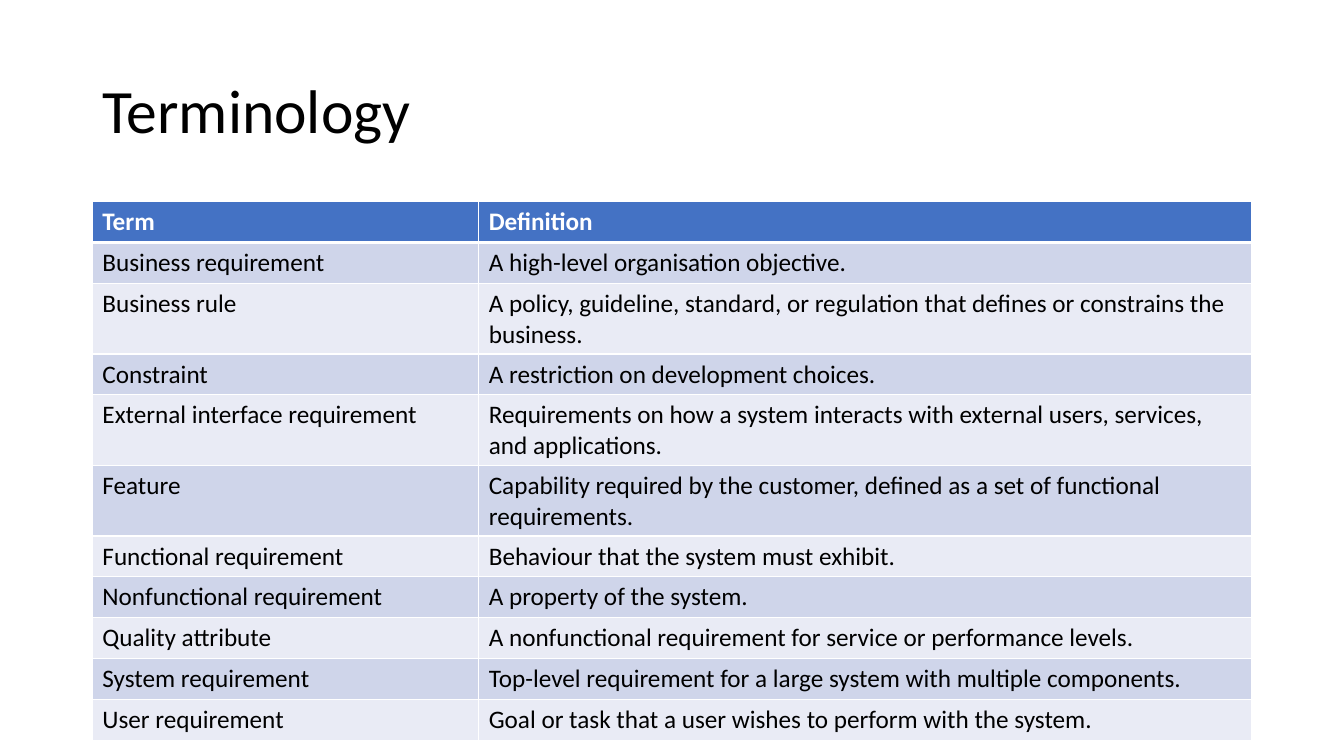
import pptx
import pptx.dml.color
import pptx.enum.text
import pptx.oxml
import pptx.oxml.ns
import pptx.util

Pt = pptx.util.Pt
COLORS = {"text": "000000", "white": "FFFFFF", "header": "4472C4",
          "odd": "CFD5EA", "even": "E9EBF5"}
TITLE = {"size": Pt(44), "name": "Calibri", "bold": False}
HEADER = {"size": Pt(18), "name": "Calibri", "bold": True}
BODY = {"size": Pt(18), "name": "Calibri", "bold": False}
LEFT, WIDTH = 66, 828
COLUMNS = (276, 552)
ROW_HEIGHT = 29.2
TERMS = [
    ("Term", "Definition"),
    ("Business requirement", "A high-level organisation objective."),
    ("Business rule", "A policy, guideline, standard, or regulation that "
     "defines or constrains the business."),
    ("Constraint", "A restriction on development choices."),
    ("External interface requirement", "Requirements on how a system "
     "interacts with external users, services, and applications."),
    ("Feature", "Capability required by the customer, defined as a set of "
     "functional requirements."),
    ("Functional requirement", "Behaviour that the system must exhibit."),
    ("Nonfunctional requirement", "A property of the system."),
    ("Quality attribute",
     "A nonfunctional requirement for service or performance levels."),
    ("System requirement",
     "Top-level requirement for a large system with multiple components."),
    ("User requirement",
     "Goal or task that a user wishes to perform with the system."),
]


def rgb(key):
    """Return the named colour."""
    return pptx.dml.color.RGBColor.from_string(COLORS[key])


def add_run(p, text, style, color):
    """Add a formatted run to a paragraph."""
    r = p.add_run()
    r.text = text
    for name, value in style.items():
        setattr(r.font, name, value)
    r.font.color.rgb = rgb(color)


def add_title(s, text):
    """Add the slide title."""
    sp = s.shapes.add_textbox(Pt(LEFT), Pt(28.8), Pt(WIDTH), Pt(104.4))
    tf = sp.text_frame
    tf.word_wrap = True
    tf.vertical_anchor = pptx.enum.text.MSO_ANCHOR.MIDDLE
    p = tf.paragraphs[0]
    p.line_spacing = 0.9
    add_run(p, text, TITLE, "text")


def set_borders(cell, widths):
    """Draw white cell borders with a width in points for each side."""
    tcPr = cell._tc.get_or_add_tcPr()
    for side, width in widths.items():
        tcPr.append(pptx.oxml.parse_xml(
            f'<a:ln{side} {pptx.oxml.ns.nsdecls("a")} w="{Pt(width)}">'
            f'<a:solidFill><a:srgbClr val="{COLORS["white"]}"/></a:solidFill>'
            f'</a:ln{side}>'))


def add_terms(s, terms):
    """Add the table of terms with a header and banded rows."""
    table = s.shapes.add_table(len(terms), len(COLUMNS), Pt(LEFT), Pt(144),
                               Pt(WIDTH), Pt(ROW_HEIGHT * len(terms))).table
    for column, width in zip(table.columns, COLUMNS):
        column.width = Pt(width)
    for i, texts in enumerate(terms):
        table.rows[i].height = Pt(ROW_HEIGHT)
        band = "header" if i == 0 else "odd" if i % 2 else "even"
        style, color = (BODY, "text") if i else (HEADER, "white")
        widths = {"L": 1, "R": 1, "T": 3 if i == 1 else 1, "B": 1 if i else 3}
        for j, text in enumerate(texts):
            cell = table.cell(i, j)
            set_borders(cell, widths)
            cell.fill.solid()
            cell.fill.fore_color.rgb = rgb(band)
            add_run(cell.text_frame.paragraphs[0], text, style, color)


def main():
    """Build the terminology slide."""
    prs = pptx.Presentation()
    prs.slide_width, prs.slide_height = Pt(960), Pt(540)
    s = prs.slides.add_slide(prs.slide_layouts[6])
    add_title(s, "Terminology")
    add_terms(s, TERMS)
    prs.save("out.pptx")


main()
